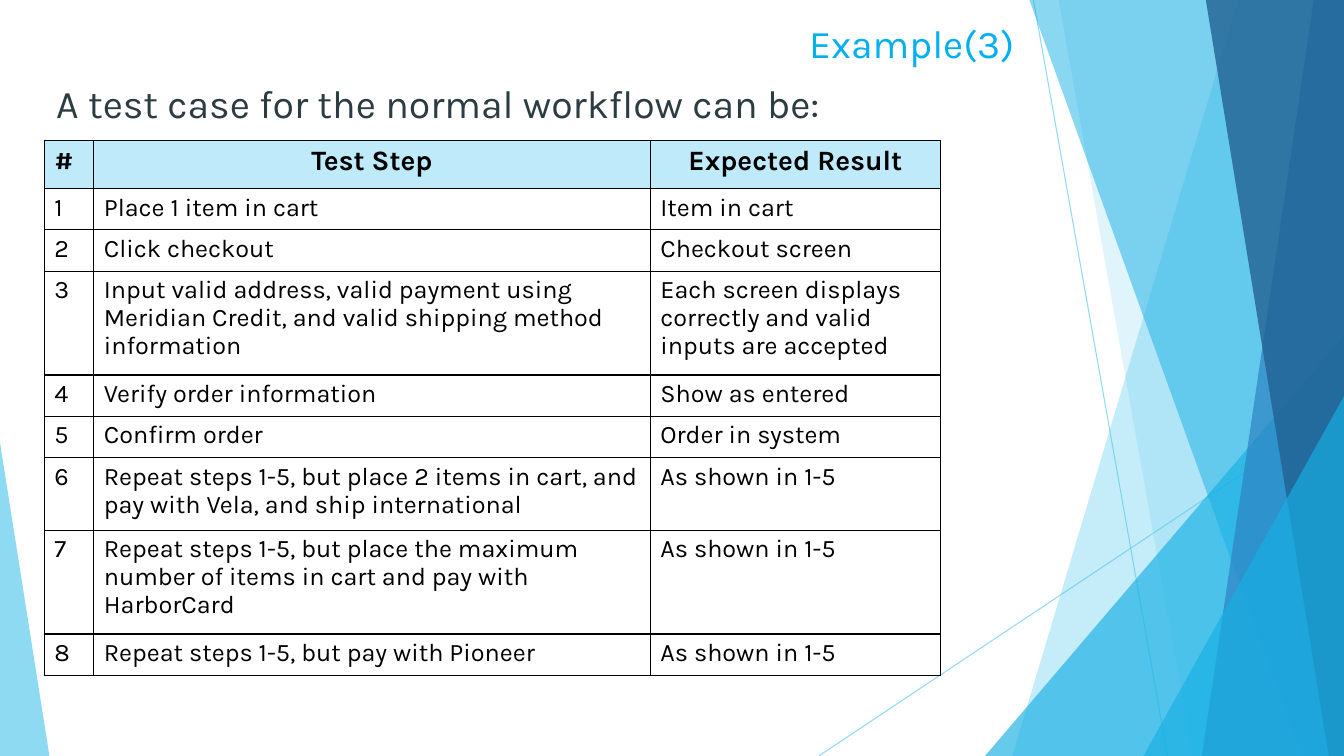
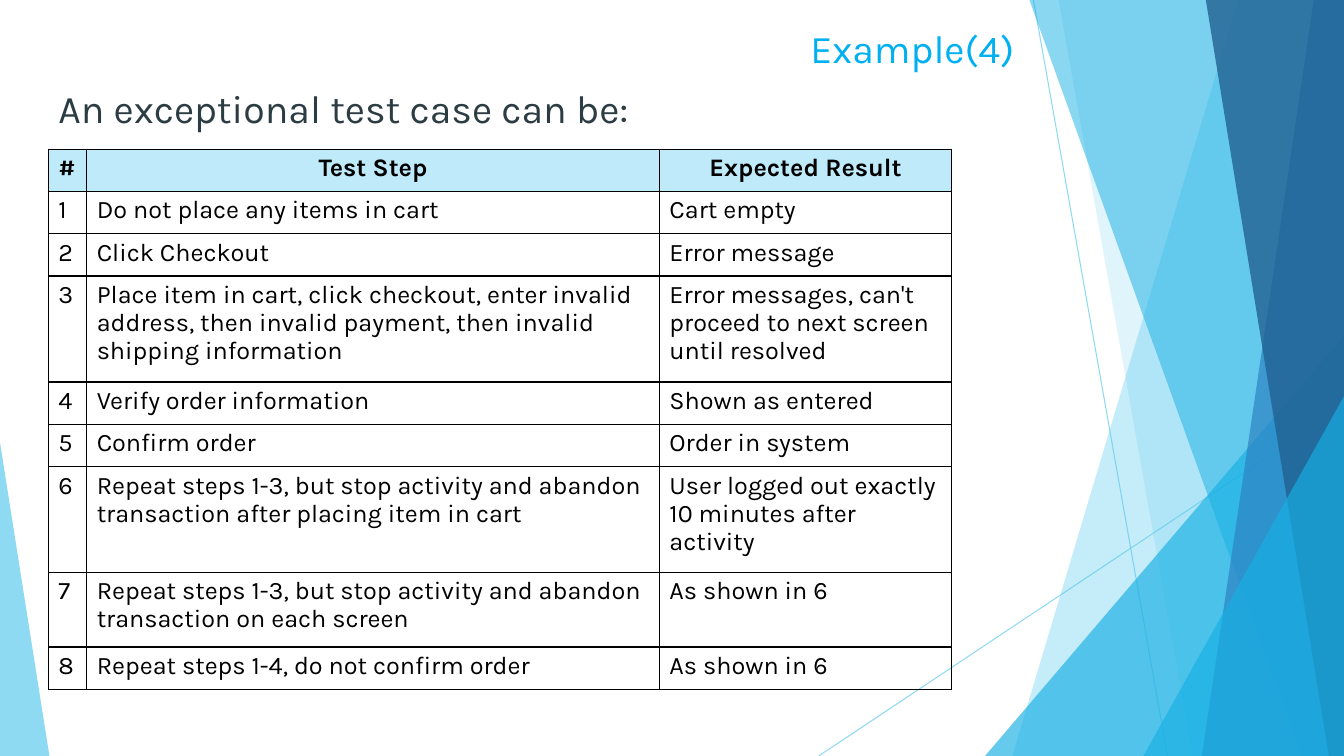
"""Build two slides of test case tables over a shared faceted backdrop."""
from lxml import etree
from pptx import Presentation
from pptx.dml.color import RGBColor
from pptx.enum.shapes import MSO_CONNECTOR, MSO_SHAPE
from pptx.enum.text import MSO_ANCHOR, MSO_AUTO_SIZE, PP_ALIGN
from pptx.oxml.ns import qn
from pptx.util import Inches, Pt

STRAIGHT, TRIANGLE = MSO_CONNECTOR.STRAIGHT, MSO_SHAPE.ISOSCELES_TRIANGLE
TOP, NO_FIT = MSO_ANCHOR.TOP, MSO_AUTO_SIZE.NONE
LEFT, CENTER, RIGHT = PP_ALIGN.LEFT, PP_ALIGN.CENTER, PP_ALIGN.RIGHT

FONT = "Karla"
BLACK = RGBColor(0x00, 0x00, 0x00)
TITLE_BLUE = RGBColor(0x00, 0xB0, 0xF0)
SLATE = RGBColor(0x2C, 0x3C, 0x43)
HEADER_FILL = RGBColor(0xBF, 0xEA, 0xF9)
SKY = RGBColor(0x5F, 0xCB, 0xEF)
CYAN = RGBColor(0x17, 0xB0, 0xE4)
BLUE = RGBColor(0x2E, 0x83, 0xC3)
NAVY = RGBColor(0x22, 0x62, 0x92)

WIDTH, HEIGHT = 13.33, 7.5
LINE_STEP = 0.6
HEADINGS = ("#", "Test Step", "Expected Result")

RAYS = [(10.25, 0, 11.58, HEIGHT), (WIDTH, 4.03, 8.12, HEIGHT)]
# kind, geometry, colour, opacity in percent; a band is (top x, bottom x), reaching the right edge
FACETS = [
    ("band", (12.28, 10.04), SKY, 36),
    ("band", (10.5, 11.83), SKY, 20),
    ("triangle", (9.77, 3.33, 3.56, 1), CYAN, 66),
    ("band", (10.21, 12.91), CYAN, 50),
    ("band", (13.03, 11.92), BLUE, 70),
    ("band", (11.96, 13.18), NAVY, 80),
    ("triangle", (11.34, 3.93, 1.99, 1), CYAN, 66),
    ("triangle", (0, 4.39, 0.49, 0), SKY, 70),
]

SLIDES = [
    {
        "title": "Example(3)",
        "lead": "A test case for the normal workflow can be:",
        "text_box": (0.46, 0.14, 9.7),
        "table_at": (0.44, 1.39),
        "columns": (0.49, 5.52, 2.88),
        "row_heights": (0.48, 0.41, 0.41, 1.03, 0.41, 0.41, 0.72, 1.03, 0.41),
        "header_size": 20,
        "steps": [
            ("Place 1 item in cart", "Item in cart"),
            ("Click checkout", "Checkout screen"),
            ("Input valid address, valid payment using Meridian Credit, and valid "
             "shipping method information",
             "Each screen displays correctly and valid inputs are accepted"),
            ("Verify order information", "Show as entered"),
            ("Confirm order", "Order in system"),
            ("Repeat steps 1-5, but place 2 items in cart, and pay with Vela, "
             "and ship international", "As shown in 1-5"),
            ("Repeat steps 1-5, but place the maximum number of items in cart "
             "and pay with HarborCard", "As shown in 1-5"),
            ("Repeat steps 1-5, but pay with Pioneer", "As shown in 1-5"),
        ],
    },
    {
        "title": "Example(4)",
        "lead": "An exceptional test case can be:",
        "text_box": (0.48, 0.19, 9.68),
        "table_at": (0.48, 1.48),
        "columns": (0.38, 5.68, 2.9),
        "row_heights": (0.42, 0.42, 0.42, 1.05, 0.42, 0.42, 1.05, 0.74, 0.42),
        "header_size": 18,
        "steps": [
            ("Do not place any items in cart", "Cart empty"),
            ("Click Checkout", "Error message"),
            ("Place item in cart, click checkout, enter invalid address, then "
             "invalid payment, then invalid shipping information",
             "Error messages, can't proceed to next screen until resolved"),
            ("Verify order information", "Shown as entered"),
            ("Confirm order", "Order in system"),
            ("Repeat steps 1-3, but stop activity and abandon transaction after "
             "placing item in cart",
             "User logged out exactly 10 minutes after activity"),
            ("Repeat steps 1-3, but stop activity and abandon transaction on "
             "each screen", "As shown in 6"),
            ("Repeat steps 1-4, do not confirm order", "As shown in 6"),
        ],
    },
]


def set_opacity(shape, percent):
    color = shape._element.xpath(".//a:srgbClr")[0]
    etree.SubElement(color, qn("a:alpha"), val=str(percent * 1000))


def add_ray(s, x1, y1, x2, y2):
    ray = s.shapes.add_connector(STRAIGHT, Inches(x1), Inches(y1), Inches(x2), Inches(y2))
    ray.line.color.rgb = SKY
    ray.line.width = Pt(0.75)
    etree.SubElement(ray._element.spPr, qn("a:effectLst"))
    set_opacity(ray, 70)
    return ray


def add_facet(s, kind, geometry, color, opacity):
    if kind == "band":
        top_x, bottom_x = geometry
        outline = s.shapes.build_freeform(Inches(top_x), 0, scale=1.0)
        corners = [(WIDTH, 0), (WIDTH, HEIGHT), (bottom_x, HEIGHT)]
        outline.add_line_segments([(Inches(x), Inches(y)) for x, y in corners], close=True)
        facet = outline.convert_to_shape()
    else:
        x, y, width, apex = geometry
        facet = s.shapes.add_shape(TRIANGLE, Inches(x), Inches(y), Inches(width),
                                   Inches(HEIGHT - y))
        facet.adjustments[0] = apex
    facet.shadow.inherit = False
    facet.fill.solid()
    facet.fill.fore_color.rgb = color
    facet.line.fill.background()
    set_opacity(facet, opacity)
    return facet


def move_backdrop_to_layout(s, layout):
    """Draw the backdrop through a slide, then place it behind the layout's placeholders."""
    parts = [add_ray(s, *ray) for ray in RAYS] + [add_facet(s, *facet) for facet in FACETS]
    for i, part in enumerate(parts):
        part._element.xpath(".//p:cNvPr")[0].set("id", str(100 + i))
        layout.shapes._spTree.insert(2 + i, part._element)


def set_text(tf, text, size, color, align=LEFT, bold=False, spacing=1.0):
    tf.text = text
    p = tf.paragraphs[0]
    p.alignment = align
    p.line_spacing = spacing
    font = p.runs[0].font
    font.name, font.size, font.bold = FONT, Pt(size), bold
    font.color.rgb = color


def place_heading(shape, box, line, text, color, align):
    left, top, width = box
    shape.left, shape.top = Inches(left), Inches(top + line * LINE_STEP)
    shape.width, shape.height = Inches(width), Inches(LINE_STEP)
    tf = shape.text_frame
    tf.word_wrap = True
    tf.auto_size = NO_FIT
    tf.vertical_anchor = TOP
    set_text(tf, text, 28, color, align)


def add_borders(cell):
    tcPr = cell._tc.get_or_add_tcPr()
    for side in ("a:lnL", "a:lnR", "a:lnT", "a:lnB"):
        ln = etree.SubElement(tcPr, qn(side), w=str(Pt(1)))
        fill = etree.SubElement(ln, qn("a:solidFill"))
        etree.SubElement(fill, qn("a:srgbClr"), val=str(BLACK))


def add_steps_table(s, content):
    rows = [HEADINGS] + [(str(n), *step) for n, step in enumerate(content["steps"], 1)]
    columns, heights = content["columns"], content["row_heights"]
    left, top = content["table_at"]
    table = s.shapes.add_table(len(rows), len(columns), Inches(left), Inches(top),
                               Inches(sum(columns)), Inches(sum(heights))).table
    table.horz_banding = False
    for column, width in zip(table.columns, columns):
        column.width = Inches(width)
    for r, (row, height) in enumerate(zip(table.rows, heights)):
        row.height = Inches(height)
        header = r == 0
        for c, cell in enumerate(row.cells):
            add_borders(cell)
            if header:
                cell.fill.solid()
                cell.fill.fore_color.rgb = HEADER_FILL
            else:
                cell.fill.background()
            set_text(cell.text_frame, rows[r][c], content["header_size"] if header else 18,
                     BLACK, CENTER if header and c else LEFT, header, 0.95)


def main():
    prs = Presentation()
    prs.slide_width, prs.slide_height = Inches(WIDTH), Inches(HEIGHT)
    layout = prs.slide_layouts.get_by_name("Title Only")
    for i, content in enumerate(SLIDES):
        s = prs.slides.add_slide(layout)
        if i == 0:
            move_backdrop_to_layout(s, layout)
        box = content["text_box"]
        place_heading(s.shapes.title, box, 0, content["title"], TITLE_BLUE, RIGHT)
        lead = s.shapes.add_textbox(0, 0, 0, 0)
        place_heading(lead, box, 1, content["lead"], SLATE, LEFT)
        add_steps_table(s, content)
    prs.save("out.pptx")


if __name__ == "__main__":
    main()
